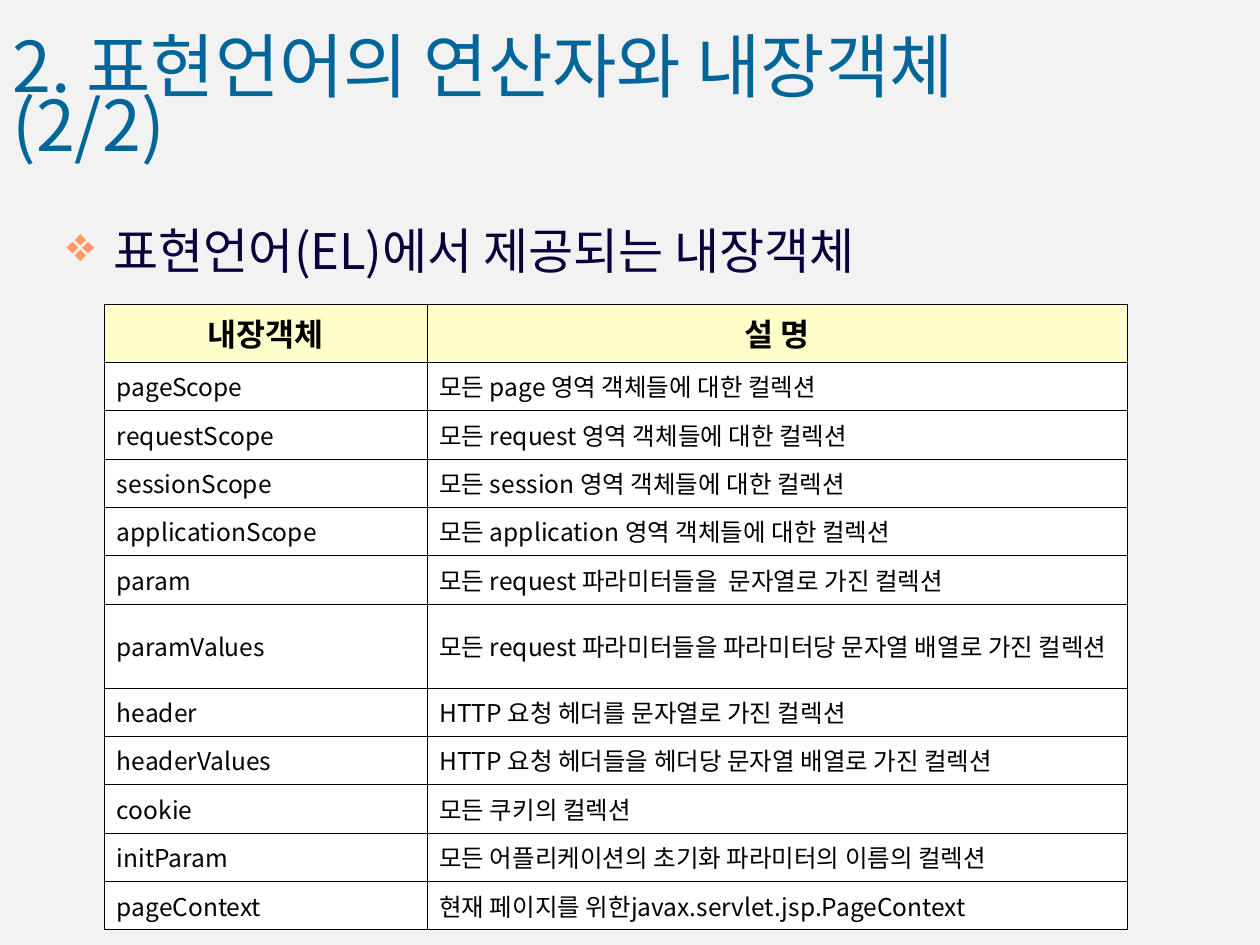
from lxml.etree import SubElement
from pptx import Presentation
from pptx.dml.color import RGBColor
from pptx.enum.text import MSO_ANCHOR as Anchor, MSO_AUTO_SIZE as AutoSize, PP_ALIGN as Align
from pptx.oxml.ns import qn
from pptx.util import Pt

TITLE = "2. 표현언어의 연산자와 내장객체(2/2)"
HEADING = "표현언어(EL)에서 제공되는 내장객체"
ROWS = [
    ("내장객체", "설 명"),
    ("pageScope", "모든 page 영역 객체들에 대한 컬렉션"),
    ("requestScope", "모든 request 영역 객체들에 대한 컬렉션"),
    ("sessionScope", "모든 session 영역 객체들에 대한 컬렉션"),
    ("applicationScope", "모든 application 영역 객체들에 대한 컬렉션"),
    ("param", "모든 request 파라미터들을  문자열로 가진 컬렉션"),
    ("paramValues", "모든 request 파라미터들을 파라미터당 문자열 배열로 가진 컬렉션"),
    ("header", "HTTP 요청 헤더를 문자열로 가진 컬렉션"),
    ("headerValues", "HTTP 요청 헤더들을 헤더당 문자열 배열로 가진 컬렉션"),
    ("cookie", "모든 쿠키의 컬렉션"),
    ("initParam", "모든 어플리케이션의 초기화 파라미터의 이름의 컬렉션"),
    ("pageContext", "현재 페이지를 위한javax.servlet.jsp.PageContext"),
]
COLUMN_WIDTHS = (184.2, 400.1)
HEADER_HEIGHT, ROW_HEIGHT, TALL_HEIGHT = 33.1, 27.65, 48
TALL_ROW = "paramValues"

FONT = "Noto Sans CJK KR"
BACKGROUND = RGBColor(0xF2, 0xF2, 0xF2)
BLUE = RGBColor(0x00, 0x66, 0x99)
NAVY = RGBColor(0x08, 0x00, 0x3A)
ORANGE = RGBColor(0xFF, 0x99, 0x66)
CREAM = RGBColor(0xFF, 0xFF, 0xCC)
WHITE = RGBColor(0xFF, 0xFF, 0xFF)
BLACK = RGBColor(0x00, 0x00, 0x00)


def write(frame, text, size, color, bold=False, align=Align.LEFT):
    frame.text = text
    para = frame.paragraphs[0]
    para.alignment = align
    span = para.runs[0]
    span.font.size = Pt(size)
    span.font.bold = bold
    span.font.color.rgb = color
    span.font.name = FONT
    SubElement(span.font._element, qn("a:ea"), typeface=FONT)
    return para


def place(box, left, top, width, height):
    box.left, box.top, box.width, box.height = map(Pt, (left, top, width, height))


def add_bullet(para, symbol, color, indent):
    properties = para._p.get_or_add_pPr()
    properties.set("marL", str(Pt(indent)))
    properties.set("indent", str(-Pt(indent)))
    bullet_color = SubElement(properties, qn("a:buClr"))
    SubElement(bullet_color, qn("a:srgbClr"), val=str(color))
    SubElement(properties, qn("a:buChar"), char=symbol)


def add_borders(cell, color, width):
    properties = cell._tc.get_or_add_tcPr()
    for side in ("lnL", "lnR", "lnT", "lnB"):
        line = SubElement(properties, qn(f"a:{side}"), w=str(Pt(width)))
        fill = SubElement(line, qn("a:solidFill"))
        SubElement(fill, qn("a:srgbClr"), val=str(color))


def row_height(index, name):
    if index == 0:
        return HEADER_HEIGHT
    return TALL_HEIGHT if name == TALL_ROW else ROW_HEIGHT


def add_objects_table(page):
    heights = [row_height(index, row[0]) for index, row in enumerate(ROWS)]
    table = page.shapes.add_table(
        len(ROWS), len(COLUMN_WIDTHS), Pt(59.6), Pt(173.7),
        Pt(sum(COLUMN_WIDTHS)), Pt(sum(heights))).table
    for column, width in zip(table.columns, COLUMN_WIDTHS):
        column.width = Pt(width)
    for index, (row, height) in enumerate(zip(ROWS, heights)):
        table.rows[index].height = Pt(height)
        header = index == 0
        for cell, text in zip(table.rows[index].cells, row):
            add_borders(cell, BLACK, 0.06)
            cell.fill.solid()
            cell.fill.fore_color.rgb = CREAM if header else WHITE
            cell.vertical_anchor = Anchor.MIDDLE
            write(cell.text_frame, text, 18 if header else 14, BLACK, header,
                  Align.CENTER if header else Align.LEFT)


def main():
    deck = Presentation()
    deck.slide_width, deck.slide_height = Pt(720), Pt(540)
    page = deck.slides.add_slide(deck.slide_layouts[5])
    page.background.fill.solid()
    page.background.fill.fore_color.rgb = BACKGROUND

    title = page.shapes.title
    place(title, 0, 20.2, 614.9, 79.2)
    title.text_frame.auto_size = AutoSize.NONE
    title.text_frame.vertical_anchor = Anchor.MIDDLE
    write(title.text_frame, TITLE, 40, BLUE).line_spacing = 0.7

    box = page.shapes.add_textbox(Pt(31), Pt(122.4), Pt(663), Pt(45.4))
    box.text_frame.word_wrap = True
    heading = write(box.text_frame, HEADING, 28, NAVY)
    add_bullet(heading, "❖", ORANGE, 27)

    add_objects_table(page)
    deck.save("out.pptx")


if __name__ == "__main__":
    main()
